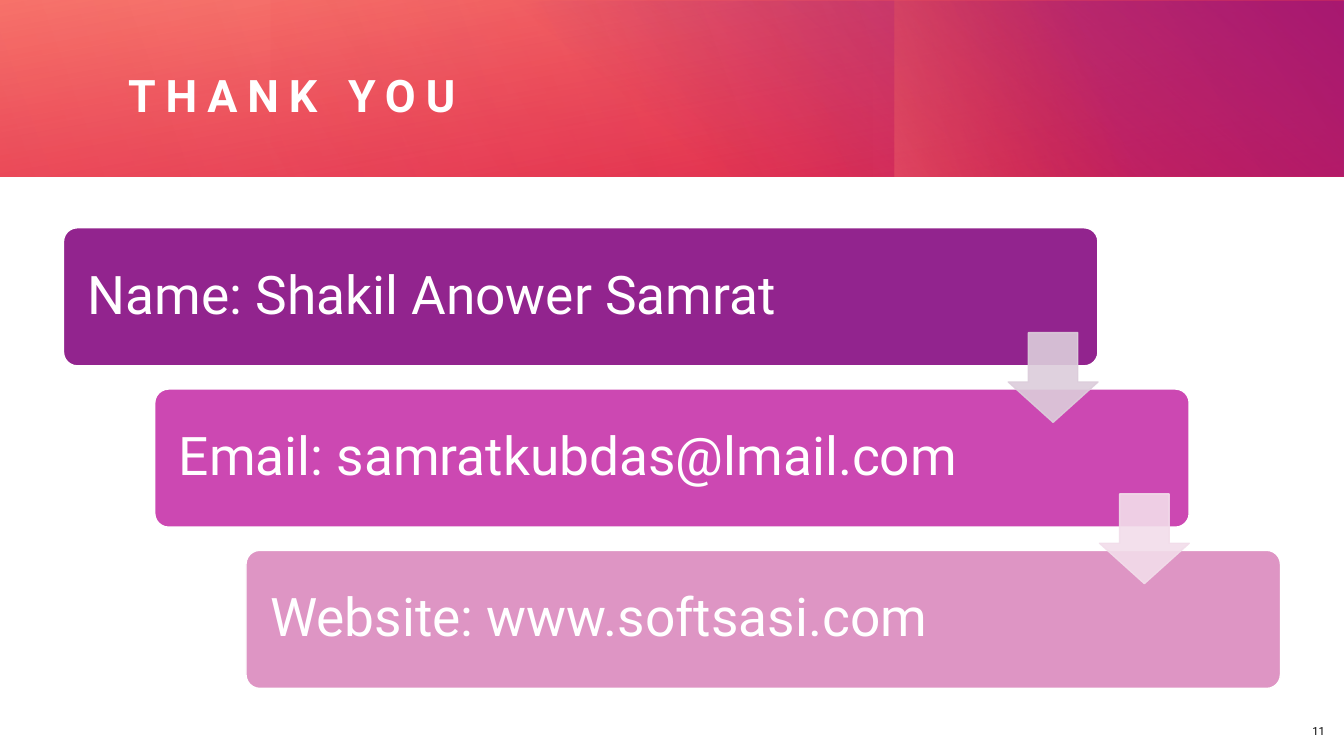
from lxml import etree
from pptx import Presentation
from pptx.dml.color import RGBColor
from pptx.enum import shapes, text
from pptx.oxml import ns
from pptx.util import Inches, Pt

SIZE = (13.33, 7.5)
FONT = "Roboto"
TITLE = "THANK YOU"
PAGE = "11"
CARDS = [
    ("Name: Shakil Anower Samrat", "92248E"),
    ("Email: samratkubdas@lmail.com", "CC48B2"),
    ("Website: www.softsasi.com", "DE95C4"),
]
ARROWS = ["DCCDDB", "F2DDEA"]
BANDS = [
    ((0, 0, 13.33, 1.75), 0, 260, [(0, "DA002F", 83), (100, "FF907A", 100)]),
    ((4.81, 0.01, 8.52, 1.74), 0, 310, [(22, "92248E", 0), (99, "92248E", 100)]),
    ((9.87, -0.99, 1.75, 3.74), 270, 250, [(45, "FE4A00", 0), (99, "FF907A", 33)]),
    ((2.68, 0, 10.64, 1.75), 180, 330, [(0, "DA002F", 30), (99, "DA002F", 0)]),
    ((0, 0, 8.65, 1.75), 0, 340, [(0, "DA002F", 21), (99, "DA002F", 0)]),
]
STEP = (0.905, 1.6)
CARD = (0.63, 2.26, 10.26, 1.37)
ARROW = (10, 3.3, 0.89, 0.89)


def rgb(code):
    return RGBColor.from_string(code)


def sub(parent, tag, **attrs):
    node = etree.SubElement(parent, ns.qn(tag))
    for key, value in attrs.items():
        node.set(key, str(value))
    return node


def shift(box, row):
    left, top, wide, high = box
    return left + row * STEP[0], top + row * STEP[1], wide, high


def add(kind, box):
    shape = slide.shapes.add_shape(kind, *map(Inches, box))
    shape.shadow.inherit = False
    return shape


def paint(shape, code, alpha=100):
    shape.fill.solid()
    shape.fill.fore_color.rgb = rgb(code)
    shape.line.color.rgb = rgb("FFFFFF" if alpha == 100 else code)
    shape.line.width = Pt(1)
    if alpha < 100:
        for node in shape.element.spPr.iter(ns.qn("a:srgbClr")):
            sub(node, "a:alpha", val=alpha * 1000)


def blend(shape, angle, stops):
    shape.line.fill.background()
    props = shape.element.spPr
    grad = etree.Element(ns.qn("a:gradFill"), rotWithShape="1")
    props.find(ns.qn("a:prstGeom")).addnext(grad)
    group = sub(grad, "a:gsLst")
    for place, code, alpha in stops:
        stop = sub(group, "a:gs", pos=place * 1000)
        color = sub(stop, "a:srgbClr", val=code)
        sub(color, "a:alpha", val=alpha * 1000)
    sub(grad, "a:lin", ang=angle * 60000, scaled=0)


def write(shape, words, size, code, inset, align=text.PP_ALIGN.LEFT):
    frame = shape.text_frame
    frame.word_wrap = True
    frame.vertical_anchor = text.MSO_ANCHOR.MIDDLE
    frame.margin_left = frame.margin_right = Inches(inset)
    frame.margin_top = frame.margin_bottom = 0
    line = frame.paragraphs[0]
    line.alignment = align
    run = line.add_run()
    run.text = words
    run.font.name = FONT
    run.font.size = Pt(size)
    run.font.color.rgb = rgb(code)
    return line, run


deck = Presentation()
deck.slide_width, deck.slide_height = map(Inches, SIZE)
slide = deck.slides.add_slide(deck.slide_layouts[6])

for box, turn, angle, stops in BANDS:
    band = add(shapes.MSO_SHAPE.RECTANGLE, box)
    band.rotation = turn
    blend(band, angle, stops)

title = slide.shapes.add_textbox(*map(Inches, (1.27, 0.41, 11.35, 1.06)))
line, run = write(title, TITLE, 32, "FFFFFF", 0)
run.font.bold = True
run.font._element.set("spc", "700")

page = slide.shapes.add_textbox(*map(Inches, (12.76, 7.01, 0.48, 0.49)))
write(page, PAGE, 8, "000000", 0.1, text.PP_ALIGN.RIGHT)

for row, (words, code) in enumerate(CARDS):
    card = add(shapes.MSO_SHAPE.ROUNDED_RECTANGLE, shift(CARD, row))
    card.adjustments[0] = 0.1
    paint(card, code)
    line, run = write(card, words, 38, "FFFFFF", 0.2)
    line.line_spacing = 0.9

for row, code in enumerate(ARROWS):
    arrow = add(shapes.MSO_SHAPE.DOWN_ARROW, shift(ARROW, row))
    arrow.adjustments[0] = 0.55
    arrow.adjustments[1] = 0.45
    paint(arrow, code, 90)

deck.save("out.pptx")
